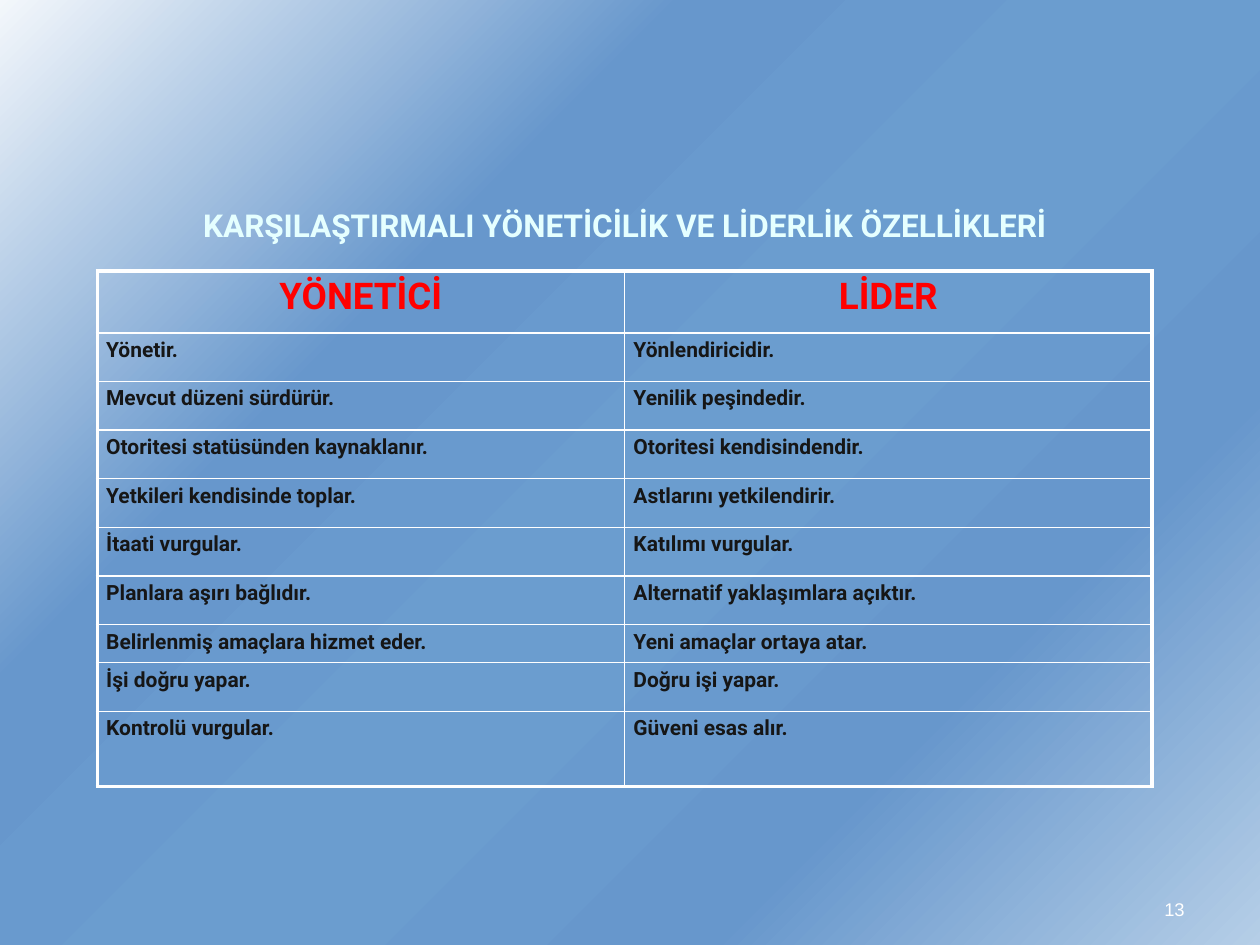
from pptx import Presentation
from pptx.dml.color import RGBColor
from pptx.enum.text import MSO_ANCHOR as ANCHOR, PP_ALIGN as ALIGN
from pptx.oxml import parse_xml
from pptx.oxml.ns import nsdecls
from pptx.util import Cm, Pt

TITLE = "KARŞILAŞTIRMALI YÖNETİCİLİK VE LİDERLİK ÖZELLİKLERİ"
NUMBER = "13"
ROWS = [
    ("YÖNETİCİ", "LİDER"),
    ("Yönetir.", "Yönlendiricidir."),
    ("Mevcut düzeni sürdürür.", "Yenilik peşindedir."),
    ("Otoritesi statüsünden kaynaklanır.", "Otoritesi kendisindendir."),
    ("Yetkileri kendisinde toplar.", "Astlarını yetkilendirir."),
    ("İtaati vurgular.", "Katılımı vurgular."),
    ("Planlara aşırı bağlıdır.", "Alternatif yaklaşımlara açıktır."),
    ("Belirlenmiş amaçlara hizmet eder.", "Yeni amaçlar ortaya atar."),
    ("İşi doğru yapar.", "Doğru işi yapar."),
    ("Kontrolü vurgular.", "Güveni esas alır."),
]
ROW_H, COL_W = 0.98, 10.63
SPECIAL_H = {0: 1.25, 7: 0.77, len(ROWS) - 1: 1.51}
STOPS = [(0, "F3F7FB"), (31, "6797CC"), (53, "6B9DCF"), (75, "6797CC"), (100, "B5CEE7")]
WHITE, THIN, THICK = "FFFFFF", 1, 2.25


def rgb(value):
    """Return the colour for a hex string."""
    return RGBColor.from_string(value)


def write(tf, text, size, color, align, font="Roboto", bold=True):
    """Put one formatted paragraph into a text frame."""
    tf.text = text
    p = tf.paragraphs[0]
    p.alignment = align
    f = p.runs[0].font
    f.size, f.name, f.bold = Pt(size), font, bold
    f.color.rgb = rgb(color)
    return p


def set_borders(cell, widths):
    """Draw the cell borders from a dict of side to points."""
    tcPr = cell._tc.get_or_add_tcPr()
    for side, width in widths.items():
        tcPr.append(parse_xml(
            f'<a:ln{side} {nsdecls("a")} w="{Pt(width)}"><a:solidFill>'
            f'<a:srgbClr val="{WHITE}"/></a:solidFill></a:ln{side}>'))


def set_background(s):
    """Fill the slide with the diagonal gradient."""
    fill = s.background.fill
    fill.gradient()
    fill.gradient_angle = 315
    stops = s.element.xpath(".//a:gsLst")[0]
    for stop in list(stops):
        stops.remove(stop)
    for pos, color in STOPS:
        stops.append(parse_xml(
            f'<a:gs {nsdecls("a")} pos="{pos * 1000}"><a:srgbClr val="{color}"/></a:gs>'))


def add_comparison(s):
    """Add the two-column comparison table."""
    heights = [SPECIAL_H.get(i, ROW_H) for i in range(len(ROWS))]
    table = s.shapes.add_table(len(ROWS), 2, Cm(1.96), Cm(5.46),
                               Cm(2 * COL_W), Cm(sum(heights))).table
    table.first_row = table.horz_banding = False
    for col in table.columns:
        col.width = Cm(COL_W)
    for i, texts in enumerate(ROWS):
        table.rows[i].height = Cm(heights[i])
        size, color, align = (12, "161616", ALIGN.LEFT) if i else (21, "FF0000", ALIGN.CENTER)
        for j, text in enumerate(texts):
            cell = table.cell(i, j)
            cell.margin_left = cell.margin_right = Cm(0.18)
            cell.margin_top = cell.margin_bottom = Cm(0.1)
            p = write(cell.text_frame, text, size, color, align)
            p.space_before = Pt(size * 0.2)
            outer = {"L": j == 0, "R": j == 1, "T": i == 0, "B": i == len(ROWS) - 1}
            set_borders(cell, {side: THICK if edge else THIN for side, edge in outer.items()})
            cell.fill.background()


prs = Presentation()
prs.slide_width, prs.slide_height = Cm(25.4), Cm(19.05)
s = prs.slides.add_slide(prs.slide_layouts[5])
set_background(s)

title = s.shapes.title
title.left, title.top, title.width, title.height = Cm(1.17), Cm(2.62), Cm(22.86), Cm(3.81)
title.text_frame.vertical_anchor = ANCHOR.MIDDLE
write(title.text_frame, TITLE, 18, "E5FFFF", ALIGN.CENTER)

add_comparison(s)

number = s.shapes.add_textbox(Cm(18.21), Cm(17.35), Cm(5.92), Cm(1.32))
number.text_frame.word_wrap = True
number.text_frame.vertical_anchor = ANCHOR.BOTTOM
write(number.text_frame, NUMBER, 10.5, WHITE, ALIGN.RIGHT, "Arial", False)

prs.save("out.pptx")
